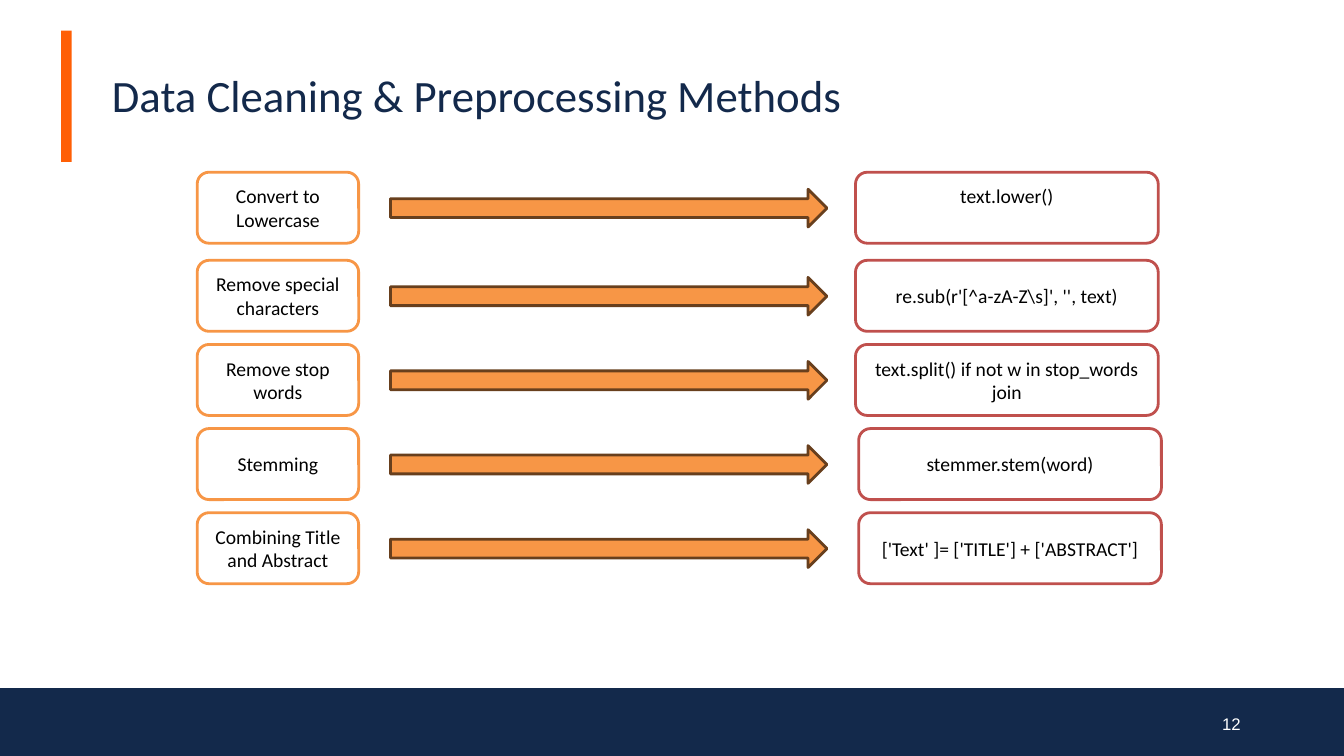
from lxml.etree import SubElement
from pptx import Presentation
from pptx.dml.color import RGBColor
from pptx.enum.shapes import MSO_SHAPE
from pptx.enum.text import MSO_ANCHOR, MSO_AUTO_SIZE, PP_ALIGN
from pptx.util import Cm, Pt

COLOURS = {
    "navy": "13294B",
    "accent": "FF5F05",
    "orange": "F79646",
    "brown": "683F1D",
    "red": "C0504D",
    "white": "FFFFFF",
    "black": "000000",
}

# Step, code lines, left edge of the code box, bottom inset of the code box
STEPS = [
    ("Convert to Lowercase", ["text.lower()"], 21.56, 0.73),
    ("Remove special characters", [r"re.sub(r'[^a-zA-Z\s]', '', text)"], 21.56, 0.13),
    ("Remove stop words", ["text.split() if not w in stop_words", "join"], 21.56, 0.13),
    ("Stemming", ["stemmer.stem(word)"], 21.64, 0.13),
    ("Combining Title and Abstract", ["['Text' ]= ['TITLE'] + ['ABSTRACT']"], 21.64, 0.13),
]
FIRST_TOP, SECOND_TOP, PITCH = 4.34, 6.56, 2.12


def colour(name):
    return RGBColor.from_string(COLOURS[name])


def write(frame, lines, size=14, font="Calibri", ink="black", align=PP_ALIGN.CENTER,
          anchor=MSO_ANCHOR.MIDDLE, insets=(0.25, 0.13, 0.25, 0.13), spacing=1.0):
    """Fill a text frame, one paragraph a line; insets are left, top, right, bottom in cm."""
    frame.word_wrap = True
    frame.auto_size = MSO_AUTO_SIZE.NONE
    frame.vertical_anchor = anchor
    frame.margin_left, frame.margin_top, frame.margin_right, frame.margin_bottom = map(Cm, insets)
    for index, line in enumerate(lines):
        para = frame.add_paragraph() if index else frame.paragraphs[0]
        para.alignment = align
        para.line_spacing = spacing
        span = para.add_run()
        span.text = line
        span.font.size = Pt(size)
        span.font.name = font
        span.font.color.rgb = colour(ink)


class SlideBuilder:
    def __init__(self, page):
        self.page = page
        self.line_width = Pt(2)

    def title(self, text, left, top, width, height):
        box = self.page.shapes.title
        box.left, box.top, box.width, box.height = map(Cm, (left, top, width, height))
        write(box.text_frame, [text], size=32, ink="navy", align=PP_ALIGN.LEFT,
              anchor=MSO_ANCHOR.TOP, insets=(0.79, 0.03, 0, 0))

    def shape(self, kind, left, top, width, height, fill, line=None):
        shape = self.page.shapes.add_shape(kind, *map(Cm, (left, top, width, height)))
        shape.shadow.inherit = False
        shape.fill.solid()
        shape.fill.fore_color.rgb = colour(fill)
        if line:
            shape.line.color.rgb = colour(line)
            shape.line.width = self.line_width
        else:
            shape.line.fill.background()
        return shape

    def bar(self, left, top, width, height, fill):
        self.shape(MSO_SHAPE.RECTANGLE, left, top, width, height, fill)

    def card(self, lines, left, top, width, line, bottom_inset=0.13):
        box = self.shape(MSO_SHAPE.ROUNDED_RECTANGLE, left, top, width, 1.79, "white", line)
        write(box.text_frame, lines, insets=(0.25, 0.13, 0.25, bottom_inset))

    def arrow(self, left, top, width, height):
        self.shape(MSO_SHAPE.RIGHT_ARROW, left, top, width, height, "orange", "brown")

    def page_number(self, text, left, top, width, height):
        box = self.page.shapes.add_textbox(*map(Cm, (left, top, width, height)))
        write(box.text_frame, [text], size=12, font="Arial", ink="white", align=PP_ALIGN.LEFT,
              anchor=MSO_ANCHOR.TOP, insets=(0.1, 0, 0, 0), spacing=1.19)


def main():
    deck = Presentation()
    deck.slide_width, deck.slide_height = Cm(33.87), Cm(19.05)
    builder = SlideBuilder(deck.slides.add_slide(deck.slide_layouts[5]))

    builder.bar(1.54, 0.77, 0.27, 3.31, "accent")
    builder.bar(0, 17.34, 33.87, 1.71, "navy")
    builder.title("Data Cleaning & Preprocessing Methods", 2.03, 1.68, 22.07, 1.4)

    for row, (step, code, code_left, bottom_inset) in enumerate(STEPS):
        top = SECOND_TOP + (row - 1) * PITCH if row else FIRST_TOP
        builder.card([step], 4.97, top, 4.07, "orange")
        builder.arrow(9.84, top + 0.43, 11, 0.95)
        builder.card(code, code_left, top, 7.63, "red", bottom_inset)

    builder.page_number("12", 30.7, 17.9, 0.72, 0.54)
    deck.save("out.pptx")


if __name__ == "__main__":
    main()
